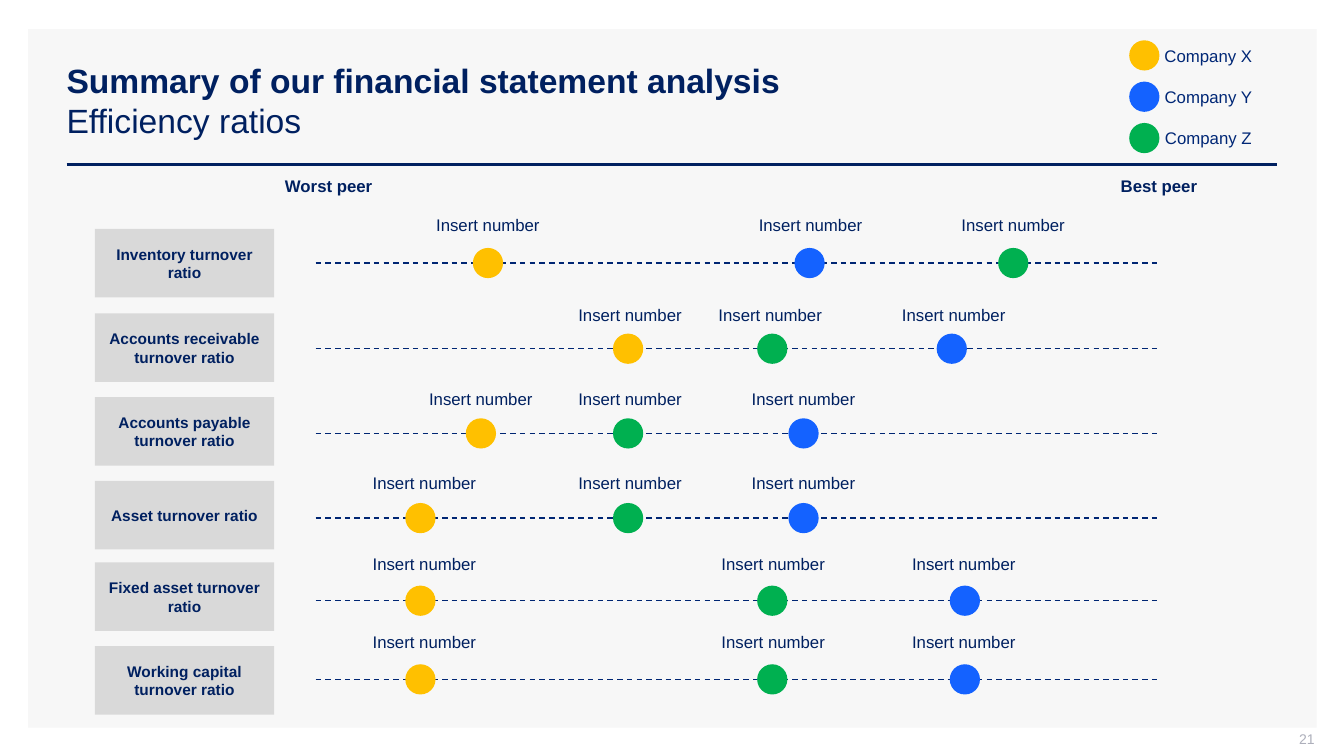
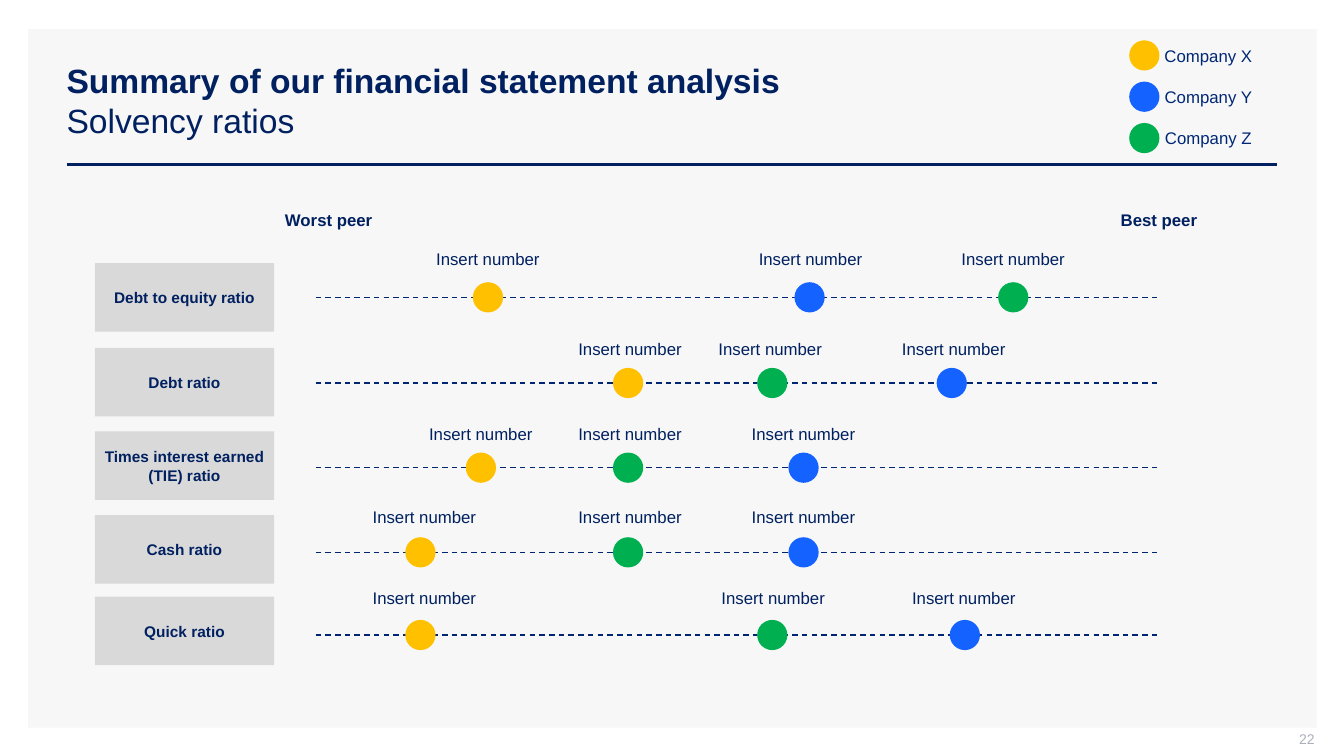
import pptx
import pptx.dml.color
import pptx.enum.dml
import pptx.enum.shapes
import pptx.enum.text
import pptx.oxml
import pptx.oxml.ns
import pptx.util

RGBColor = pptx.dml.color.RGBColor
Align = pptx.enum.text.PP_ALIGN
Anchor = pptx.enum.text.MSO_ANCHOR
AutoSize = pptx.enum.text.MSO_AUTO_SIZE
ShapeType = pptx.enum.shapes.MSO_SHAPE

NAVY = RGBColor(0x00, 0x20, 0x60)
LEGEND_BLUE = RGBColor(0x00, 0x27, 0x76)
LINE_BLUE = RGBColor(0x00, 0x26, 0x73)
PANEL_GREY = RGBColor(0xF7, 0xF7, 0xF7)
BOX_GREY = RGBColor(0xD9, 0xD9, 0xD9)
NUMBER_GREY = RGBColor(0xAD, 0xAF, 0xBB)
YELLOW = RGBColor(0xFF, 0xC0, 0x00)
BLUE = RGBColor(0x14, 0x62, 0xFF)
GREEN = RGBColor(0x00, 0xB0, 0x50)

FONT = "Arial"
EMU_PER_PX = 9144
DOT_SIZE = 30
LABEL_HEIGHT = 30

COMPANIES = {"X": YELLOW, "Y": BLUE, "Z": GREEN}

# Each row: box top, line height, label top, then (company, dot centre, label centre).
ROWS = [
    (227, 261, 208, [("X", 484, 484), ("Y", 803, 804), ("Z", 1005, 1005)]),
    (311, 346, 297, [("X", 623, 625), ("Z", 766, 764), ("Y", 944, 946)]),
    (394, 430, 381, [("X", 477, 477), ("Z", 623, 625), ("Y", 797, 797)]),
    (477, 514, 464, [("X", 417, 421), ("Z", 623, 625), ("Y", 797, 797)]),
    (558, 596, 544, [("X", 417, 421), ("Z", 766, 767), ("Y", 957, 956)]),
    (641, 674, 622, [("X", 417, 421), ("Z", 766, 767), ("Y", 957, 956)]),
]

SLIDES = [
    (21, "Efficiency ratios", 0, [
        "Inventory turnover ratio", "Accounts receivable turnover ratio",
        "Accounts payable turnover ratio", "Asset turnover ratio",
        "Fixed asset turnover ratio", "Working capital turnover ratio"]),
    (22, "Solvency ratios", 34, [
        "Debt to equity ratio", "Debt ratio", "Times interest earned (TIE) ratio",
        "Cash ratio", "Quick ratio"]),
]


def px(*lengths):
    return [pptx.util.Emu(length * EMU_PER_PX) for length in lengths]


def write_text(frame, text, subtitle="", size=12, color=NAVY, bold=False,
               align=Align.CENTER, anchor=Anchor.TOP, wrap=True,
               auto_size=AutoSize.NONE, space=0):
    frame.word_wrap = wrap
    frame.auto_size = auto_size
    frame.vertical_anchor = anchor
    paragraph = frame.paragraphs[0]
    paragraph.alignment = align
    paragraph.space_before = paragraph.space_after = pptx.util.Pt(space)
    for index, line in enumerate(filter(None, (text, subtitle))):
        if index:
            paragraph.add_line_break()
        run = paragraph.add_run()
        run.text = line
        run.font.name = FONT
        run.font.size = pptx.util.Pt(size)
        run.font.bold = bold and index == 0
        run.font.color.rgb = color


class Deck:
    def __init__(self):
        self.presentation = pptx.Presentation()
        self.presentation.slide_width, self.presentation.slide_height = px(1333, 750)
        self.layout = self.presentation.slide_layouts.get_by_name("Title Only")
        self.slide = None

    def new_slide(self, title, subtitle, number):
        self.slide = self.presentation.slides.add_slide(self.layout)
        if len(self.presentation.slides) == 1:
            self.move_to_layout(
                self.shape(ShapeType.RECTANGLE, 28, 29, 1278, 693, PANEL_GREY),
                self.line(66, 1267, 163, NAVY, 2))
        heading = self.slide.shapes.title
        heading.left, heading.top, heading.width, heading.height = px(56, 40, 1211, 119)
        write_text(heading.text_frame, title, subtitle=subtitle, size=24, bold=True,
                   align=Align.LEFT, anchor=Anchor.MIDDLE)
        box = self.text(str(number), 1004, 725, 300, 21, size=10, color=NUMBER_GREY,
                        align=Align.RIGHT, anchor=Anchor.MIDDLE)
        box.text_frame.margin_top = box.text_frame.margin_right = 0

    def move_to_layout(self, *shapes):
        for index, shape in enumerate(shapes):
            shape.element.xpath(".//p:cNvPr")[0].set("id", str(100 + index))
            self.layout.shapes.element.insert(2 + index, shape.element)

    def shape(self, kind, left, top, width, height, color):
        shape = self.slide.shapes.add_shape(kind, *px(left, top, width, height))
        shape.shadow.inherit = False
        shape.fill.solid()
        shape.fill.fore_color.rgb = color
        shape.line.fill.background()
        return shape

    def line(self, left, right, y, color, weight, dash=None):
        line = self.slide.shapes.add_connector(
            pptx.enum.shapes.MSO_CONNECTOR.STRAIGHT, *px(left, y, right, y))
        line.line.color.rgb = color
        line.line.width = pptx.util.Pt(weight)
        line.line.dash_style = dash
        properties = line.element.find(pptx.oxml.ns.qn("p:spPr"))
        properties.append(pptx.oxml.parse_xml(
            f"<a:effectLst {pptx.oxml.ns.nsdecls('a')}/>"))
        return line

    def text(self, text, left, top, width, height, **style):
        box = self.slide.shapes.add_textbox(*px(left, top, width, height))
        write_text(box.text_frame, text, **style)
        return box

    def label(self, text, center, top, width, **style):
        self.text(text, center - width // 2, top, width, LABEL_HEIGHT,
                  auto_size=AutoSize.SHAPE_TO_FIT_TEXT, **style)

    def dot(self, center, middle, company):
        radius = DOT_SIZE // 2
        self.shape(ShapeType.OVAL, center - radius, middle - radius,
                   DOT_SIZE, DOT_SIZE, COMPANIES[company])

    def legend(self):
        for index, company in enumerate(COMPANIES):
            top = 40 + 41 * index
            self.dot(1135, top + DOT_SIZE // 2, company)
            self.label(f"Company {company}", 1198, top, 175, color=LEGEND_BLUE)

    def peer_scale(self, top):
        self.label("Worst peer", 326, top, 108, bold=True, wrap=False)
        self.label("Best peer", 1149, top, 97, bold=True, wrap=False)

    def ratio_row(self, name, row, shift):
        box_top, line_y, label_top, marks = row
        box = self.shape(ShapeType.RECTANGLE, 94, box_top + shift, 178, 68, BOX_GREY)
        write_text(box.text_frame, name, size=11, bold=True,
                   anchor=Anchor.MIDDLE, space=2)
        self.line(313, 1150, line_y + shift, LINE_BLUE, 1,
                  pptx.enum.dml.MSO_LINE.DASH)
        for company, dot_center, label_center in marks:
            self.dot(dot_center, line_y + shift, company)
            self.label("Insert number", label_center, label_top + shift, 124, wrap=False)


def main():
    deck = Deck()
    for number, subtitle, shift, ratios in SLIDES:
        deck.new_slide("Summary of our financial statement analysis", subtitle, number)
        deck.legend()
        deck.peer_scale(169 + shift)
        for name, row in zip(ratios, ROWS):
            deck.ratio_row(name, row, shift)
    deck.presentation.save("out.pptx")


if __name__ == "__main__":
    main()
